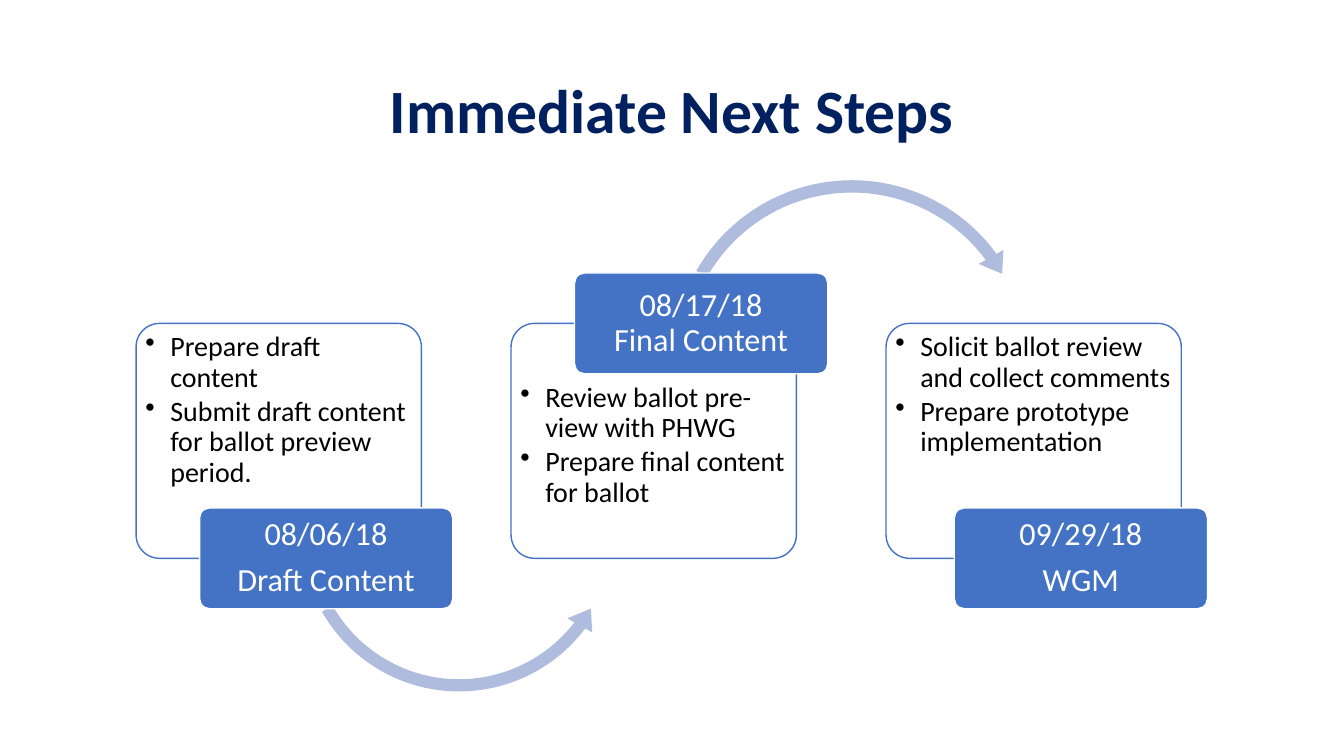
"""Build the Immediate Next Steps slide: three dated steps joined by curved arrows."""
from lxml import etree
from pptx import Presentation
from pptx.dml.color import RGBColor
from pptx.enum import shapes, text
from pptx.oxml.ns import qn
from pptx.util import Cm, Pt

BLUE, PALE, NAVY, WHITE, BLACK = "4472C4", "B0BCDE", "002060", "FFFFFF", "000000"
KIND = shapes.MSO_SHAPE


def add_block(kind, box, fill, line, adjustments):
    block = slide.shapes.add_shape(kind, *map(Cm, box))
    block.shadow.inherit = False
    block.fill.solid()
    block.fill.fore_color.rgb = RGBColor.from_string(fill)
    if line:
        block.line.color.rgb = RGBColor.from_string(line)
        block.line.width = Pt(1)
    else:
        block.line.fill.background()
    for index, value in enumerate(adjustments):
        block.adjustments[index] = value
    return block


def write(block, lines, size, color, align, anchor, insets, gap=0, bold=False, bullet=False):
    frame = block.text_frame
    frame.word_wrap = True
    frame.vertical_anchor = anchor
    frame.margin_left, frame.margin_top, frame.margin_right, frame.margin_bottom = map(Cm, insets)
    frame.text = "\n".join(lines)
    for paragraph in frame.paragraphs:
        paragraph.alignment = align
        paragraph.line_spacing = 0.9
        paragraph.space_after = Pt(gap)
        paragraph.font.name = "Calibri"
        paragraph.font.size = Pt(size)
        paragraph.font.bold = bold
        paragraph.font.color.rgb = RGBColor.from_string(color)
        if bullet:
            properties = paragraph._p.get_or_add_pPr()
            properties.set("marL", str(Cm(0.63)))
            properties.set("indent", str(-Cm(0.63)))
            mark = etree.Element(qn("a:buChar"), char="•")
            properties.find(qn("a:defRPr")).addprevious(mark)


deck = Presentation()
deck.slide_width, deck.slide_height = Cm(33.87), Cm(19.05)
slide = deck.slides.add_slide(deck.slide_layouts[6])

title = slide.shapes.add_textbox(Cm(2.33), Cm(1.01), Cm(29.21), Cm(3.68))
write(title, ["Immediate Next Steps"], 44, NAVY, text.PP_ALIGN.CENTER,
      text.MSO_ANCHOR.MIDDLE, (0.25, 0.13, 0.25, 0.13), bold=True)

LOW, HIGH = 12.8, 6.88
swing_under = (KIND.LEFT_CIRCULAR_ARROW, (7.39, 9.27, 8.36, 8.36),
               (0.037, 4.574, 22.329, 90.245, 0.043))
swing_over = (KIND.CIRCULAR_ARROW, (16.76, 4.34, 9.42, 9.42),
              (0.033, 4.015, 194.23, 125.755, 0.038))
steps = [
    (["Prepare draft content", "Submit draft content for ballot preview period."],
     ["08/06/18", "Draft Content"], 7.19, 5.03, LOW, swing_under),
    (["Review ballot pre-view with PHWG", "Prepare final content for ballot"],
     ["08/17/18\vFinal Content"], 7.19, 14.48, HIGH, swing_over),
    (["Solicit ballot review and collect comments", "Prepare prototype implementation"],
     ["09/29/18", "WGM"], 7.44, 24.05, LOW, None),
]

for number, (tasks, date, width, date_left, date_top, swing) in enumerate(steps):
    card = add_block(KIND.ROUNDED_RECTANGLE, (3.43 + 9.45 * number, 8.15, width, 5.92),
                     WHITE, BLUE, [0.1])
    inset_top = 1.33 if date_top == HIGH else 0.06
    write(card, tasks, 20, BLACK, text.PP_ALIGN.LEFT, text.MSO_ANCHOR.TOP,
          (0.06, inset_top, 0.06, 0.06), gap=3, bullet=True)
    if swing:
        kind, box, adjustments = swing
        add_block(kind, box, PALE, None, adjustments)
    label = add_block(KIND.ROUNDED_RECTANGLE, (date_left, date_top, 6.38, 2.54),
                      BLUE, WHITE, [0.1])
    write(label, date, 23, WHITE, text.PP_ALIGN.CENTER, text.MSO_ANCHOR.MIDDLE,
          (0.13, 0.08, 0.13, 0.08), gap=8)

deck.save("out.pptx")
